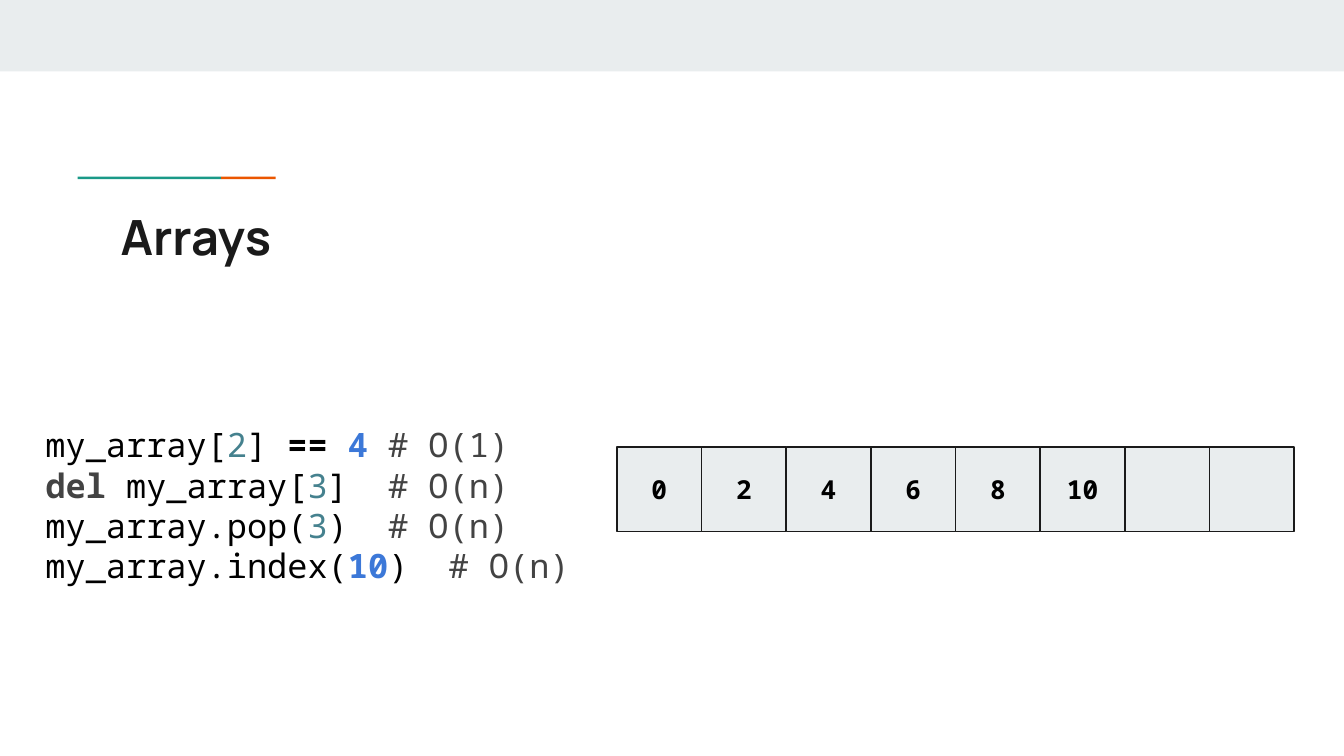
from pptx import Presentation
from pptx.util import Cm, Pt
from pptx.dml.color import RGBColor as RGB
from pptx.enum.shapes import MSO_SHAPE as Shape
from pptx.enum.text import MSO_ANCHOR as Anchor, PP_ALIGN as Align

PALE = RGB(0xE9, 0xED, 0xEE)
INK = RGB(0x1A, 0x1A, 0x1A)
TEAL = RGB(0x1A, 0x99, 0x88)
ORANGE = RGB(0xEB, 0x56, 0x00)
BLACK = RGB(0, 0, 0)
GRAY = RGB(0x43, 0x43, 0x43)
INDEX = RGB(0x45, 0x81, 0x8E)
BLUE = RGB(0x3C, 0x78, 0xD8)
MONO = "Noto Sans Mono"

# Content
TITLE = "Arrays"
VALUES = ["0", "2", "4", "6", "8", "10", "", ""]
STYLES = {  # colour, bold
    "code": (BLACK, False),
    "op": (BLACK, True),
    "key": (GRAY, True),
    "index": (INDEX, False),
    "value": (BLUE, True),
    "note": (GRAY, False),
}
CODE = [
    [("my_array[", "code"), ("2", "index"), ("] ", "code"),
     ("== ", "op"), ("4", "value"), (" # O(1)", "note")],
    [("del ", "key"), ("my_array[", "code"), ("3", "index"),
     ("]  ", "code"), ("# O(n)", "note")],
    [("my_array.pop(", "code"), ("3", "index"), (")  ", "code"),
     ("# O(n)", "note")],
    [("my_array.index(", "code"), ("10", "value"), (")  ", "code"),
     ("# O(n)", "note")],
]
BARS = [  # left, top, width, height, fill
    (0, 0, 25.4, 1.35, PALE),
    (1.47, 3.34, 2.71, 0.05, TEAL),
    (4.18, 3.34, 1.03, 0.05, ORANGE),
]
ROW_LEFT, ROW_TOP, CELL = 11.66, 8.45, 1.6

deck = Presentation()
deck.slide_width, deck.slide_height = Cm(25.4), Cm(14.29)
slide = deck.slides.add_slide(deck.slide_layouts[6])


def add_rect(left, top, width, height, fill):
    rect = slide.shapes.add_shape(
        Shape.RECTANGLE, Cm(left), Cm(top), Cm(width), Cm(height))
    rect.shadow.inherit = False
    rect.fill.solid()
    rect.fill.fore_color.rgb = fill
    rect.line.fill.background()
    return rect


def set_frame(shape):
    frame = shape.text_frame
    frame.word_wrap = True
    frame.margin_left = frame.margin_right = Cm(0.25)
    frame.margin_top = frame.margin_bottom = Cm(0.25)
    return frame


def add_box(left, top, width, height):
    return set_frame(slide.shapes.add_textbox(
        Cm(left), Cm(top), Cm(width), Cm(height)))


def set_font(font, name, size, color, bold=True):
    font.name, font.size, font.bold = name, Pt(size), bold
    font.color.rgb = color


# Top band and accent line
for bar in BARS:
    add_rect(*bar)

# Title
para = add_box(2.03, 3.66, 21.36, 1.5).paragraphs[0]
para.text = TITLE
set_font(para.font, "Manrope", 26, INK)

# Code, one paragraph a line
frame = add_box(0.61, 7.77, 10.46, 2.92)
for row, parts in enumerate(CODE):
    para = frame.add_paragraph() if row else frame.paragraphs[0]
    para.font.name, para.font.size = MONO, Pt(18)
    for text, style in parts:
        run = para.add_run()
        run.text = text
        run.font.color.rgb, run.font.bold = STYLES[style]

# Array cells
for col, value in enumerate(VALUES):
    cell = add_rect(ROW_LEFT + col * CELL, ROW_TOP, CELL, CELL, PALE)
    cell.line.color.rgb = INK
    cell.line.width = Pt(0.75)
    if value:
        frame = set_frame(cell)
        frame.vertical_anchor = Anchor.MIDDLE
        para = frame.paragraphs[0]
        para.text = value
        para.alignment = Align.CENTER
        set_font(para.font, MONO, 14, BLACK)

deck.save("out.pptx")
